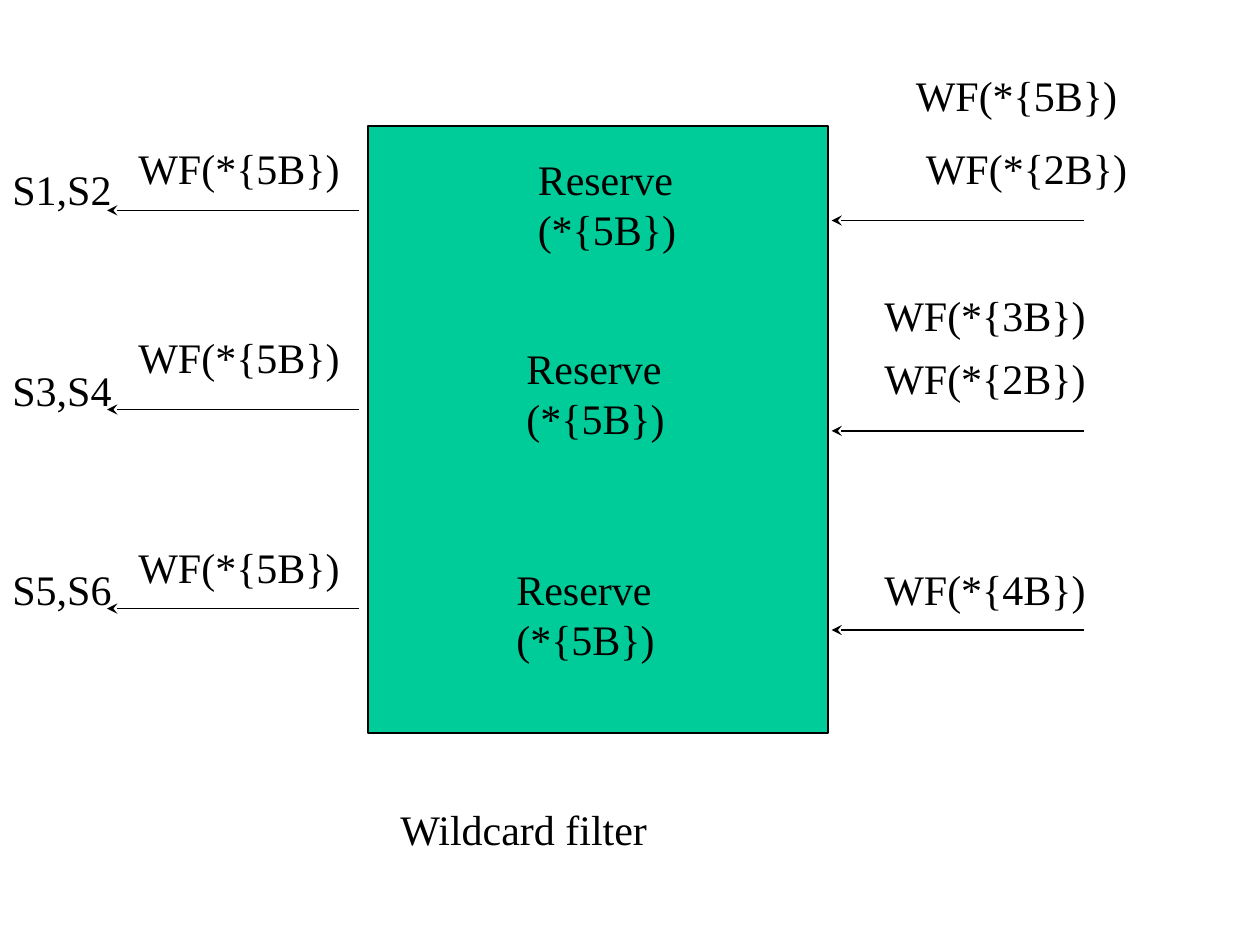
import pptx
import pptx.util
import pptx.dml.color
import pptx.enum.shapes
import pptx.enum.text
import pptx.oxml
import pptx.oxml.ns

Inches = pptx.util.Inches
Pt = pptx.util.Pt

# Content: one dict per row of the router; positions in inches
RESERVE = ["Reserve", "(*{5B})"]
ROWS = [
    {"senders": ("S1,S2", 1.25), "sent": ("WF(*{5B})", 1.08), "reserve": (4.17, 1.17),
     "received": [("WF(*{5B})", 7.17, 0.5), ("WF(*{2B})", 7.25, 1.08)],
     "arrows": (1.67, 1.75)},
    {"senders": ("S3,S4", 2.84), "sent": ("WF(*{5B})", 2.58), "reserve": (4.08, 2.67),
     "received": [("WF(*{3B})", 6.92, 2.25), ("WF(*{2B})", 6.92, 2.75)],
     "arrows": (3.25, 3.42)},
    {"senders": ("S5,S6", 4.42), "sent": ("WF(*{5B})", 4.25), "reserve": (4, 4.42),
     "received": [("WF(*{4B})", 6.92, 4.42)],
     "arrows": (4.83, 5)},
]
CAPTION = "Wildcard filter"
ARROW_STARTS = (2.85, 8.6)
ARROW_LENGTH = 2
LABEL_WIDTH = 1.8


def color(value):
    return pptx.dml.color.RGBColor.from_string(value)


def add_text(lines, left, top, width=LABEL_WIDTH, size=24, font="Times New Roman", ink="000000"):
    height = 0.1 + 0.4 * len(lines)
    box = page.shapes.add_textbox(Inches(left), Inches(top), Inches(width), Inches(height))
    frame = box.text_frame
    frame.word_wrap = False
    frame.auto_size = pptx.enum.text.MSO_AUTO_SIZE.SHAPE_TO_FIT_TEXT
    for index, line in enumerate(lines):
        para = frame.add_paragraph() if index else frame.paragraphs[0]
        span = para.add_run()
        span.text = line
        span.font.size = Pt(size)
        span.font.name = font
        span.font.color.rgb = color(ink)


def add_arrow(start, top):
    arrow = page.shapes.add_connector(
        pptx.enum.shapes.MSO_CONNECTOR.STRAIGHT,
        Inches(start), Inches(top), Inches(start - ARROW_LENGTH), Inches(top))
    arrow.line.color.rgb = color("000000")
    arrow.line.width = Pt(1)
    head = pptx.oxml.parse_xml(f'<a:tailEnd {pptx.oxml.ns.nsdecls("a")} type="stealth"/>')
    arrow.line._get_or_add_ln().append(head)
    effects = pptx.oxml.parse_xml(f'<a:effectLst {pptx.oxml.ns.nsdecls("a")}/>')
    arrow._element.spPr.append(effects)


deck = pptx.Presentation()
deck.slide_width, deck.slide_height = Inches(10), Inches(7.5)
page = deck.slides.add_slide(deck.slide_layouts[6])

# Router
router = page.shapes.add_shape(
    pptx.enum.shapes.MSO_SHAPE.RECTANGLE, Inches(2.92), Inches(1), Inches(3.65), Inches(4.82))
router.shadow.inherit = False
router.fill.solid()
router.fill.fore_color.rgb = color("00CC99")
router.line.color.rgb = color("000000")
router.line.width = Pt(1)

# Requests flow from right to left through each row
for row in ROWS:
    for start, top in zip(ARROW_STARTS, row["arrows"]):
        add_arrow(start, top)
    add_text(RESERVE, *row["reserve"], width=1.3)
    name, top = row["senders"]
    add_text([name], 0, top, width=0.99)
    request, top = row["sent"]
    add_text([request], 1, top)
    for request, left, top in row["received"]:
        add_text([request], left, top)

# Caption
add_text([CAPTION], 3.08, 6.33, width=2.17)

deck.save("out.pptx")
